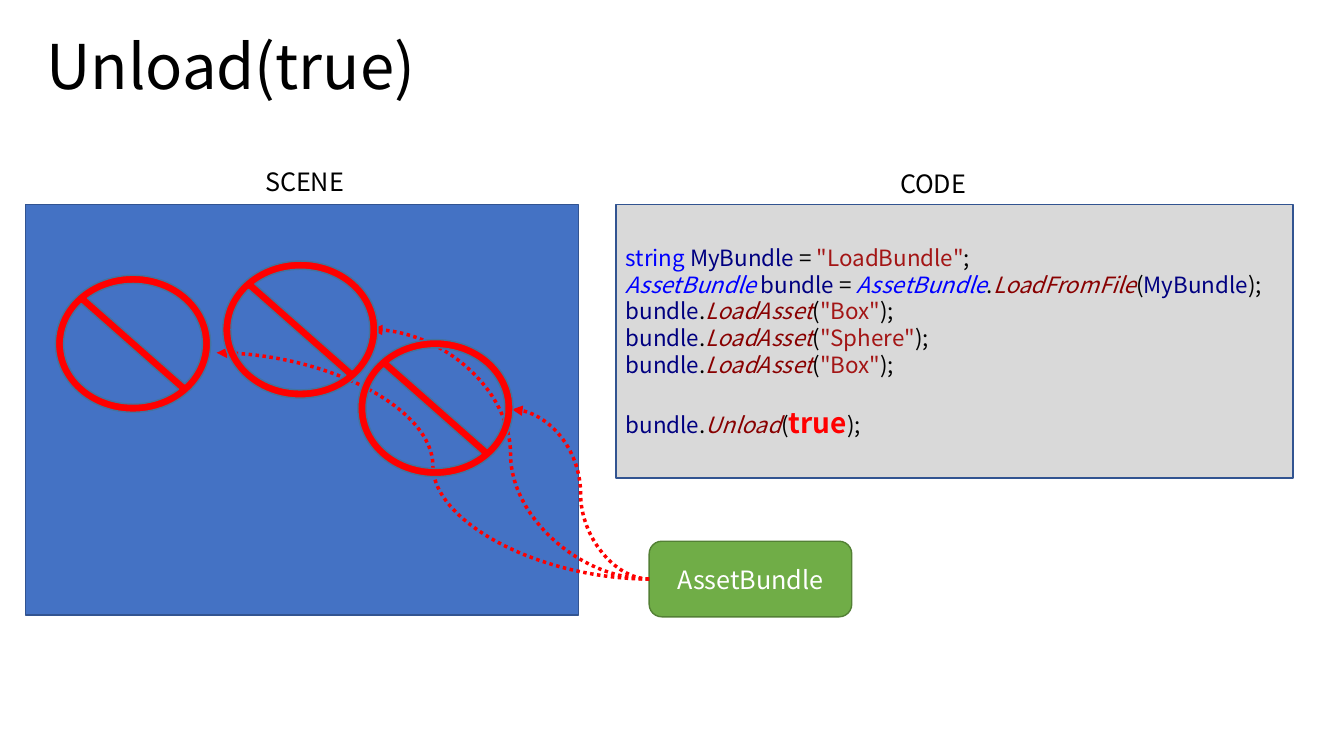
"""Build the Unload(true) slide: scene, code and asset bundle."""
from lxml import etree
from pptx import Presentation
from pptx.dml.color import RGBColor
from pptx.enum.dml import MSO_LINE
from pptx.enum.shapes import MSO_CONNECTOR, MSO_SHAPE
from pptx.enum.text import MSO_ANCHOR, PP_ALIGN
from pptx.oxml.ns import qn
from pptx.util import Pt

BOX = MSO_SHAPE.FLOWCHART_PROCESS
ROUND = MSO_SHAPE.FLOWCHART_ALTERNATE_PROCESS
BAN = MSO_SHAPE.NO_SYMBOL
CURVE = MSO_CONNECTOR.CURVE
DOT = MSO_LINE.ROUND_DOT
TOP, MIDDLE = MSO_ANCHOR.TOP, MSO_ANCHOR.MIDDLE
LEFT, CENTER = PP_ALIGN.LEFT, PP_ALIGN.CENTER

FONT = "Noto Sans CJK KR"
BLACK, WHITE, RED, EDGE = "000000", "FFFFFF", "FF0000", "325491"

LABELS = [
    ("Unload(true)", (25.9, 15.1, 907.9, 68.4), 44, MIDDLE),
    ("SCENE", (182.2, 115.2, 115.9, 28.8), 18, TOP),
    ("CODE", (635.8, 116.6, 115.9, 28.8), 18, TOP),
]
SCENE = (18, 146.2, 395.3, 293)
PANEL = (439.9, 146.2, 483.8, 195.1)
BUNDLE = (463.7, 386.6, 144.7, 54)
TIPS = [(365.8, 292.5), (265.7, 235.4), (154.8, 252)]
BANS = [(39.6, 196.6), (159.1, 186.5), (255.6, 242.6)]
BAN_SIZE = (110.9, 97.9)

STYLES = {
    "key": ("0000FF", False),
    "type": ("0000FF", True),
    "name": ("000080", False),
    "call": ("880000", True),
    "text": ("A31515", False),
    "mark": (BLACK, False),
    "flag": (RED, False),
}


def method(call, kind, value):
    return [("bundle", "name"), (".", "mark"), (call, "call"),
            ("(", "mark"), (value, kind), (");", "mark")]


CODE = [
    [("string ", "key"), ("MyBundle", "name"), (" = ", "mark"),
     ('"LoadBundle"', "text"), (";", "mark")],
    [("AssetBundle ", "type"), ("bundle", "name"), (" = ", "mark"),
     ("AssetBundle", "type"), (".", "mark"), ("LoadFromFile", "call"),
     ("(", "mark"), ("MyBundle", "name"), (");", "mark")],
    *[method("LoadAsset", "text", f'"{item}"')
      for item in ("Box", "Sphere", "Box")],
    method("Unload", "flag", "true"),
]
CODE_GAP = 19.3


def color(value):
    return RGBColor.from_string(value)


def add_box(kind, area, fill, edge):
    box = slide.shapes.add_shape(kind, *map(Pt, area))
    box.shadow.inherit = False
    box.fill.solid()
    box.fill.fore_color.rgb = color(fill)
    box.line.color.rgb = color(edge)
    box.line.width = Pt(1)
    return box


def set_font(para, size, tint, align):
    para.alignment = align
    para.font.name = FONT
    para.font.size = Pt(size)
    para.font.color.rgb = color(tint)


def add_label(text, area, size, anchor):
    frame = slide.shapes.add_textbox(*map(Pt, area)).text_frame
    frame.word_wrap = True
    frame.vertical_anchor = anchor
    frame.text = text
    set_font(frame.paragraphs[0], size, BLACK, LEFT)
    return frame.paragraphs[0]


def add_code(frame):
    frame.vertical_anchor = MIDDLE
    for i, line in enumerate(CODE):
        para = frame.add_paragraph() if i else frame.paragraphs[0]
        set_font(para, 16, BLACK, LEFT)
        for text, kind in line:
            run = para.add_run()
            run.text = text
            tint, slant = STYLES[kind]
            run.font.name = FONT
            run.font.color.rgb = color(tint)
            run.font.italic = slant
            if kind == "flag":
                run.font.size = Pt(20)
                run.font.bold = True
    para.space_before = Pt(CODE_GAP)


def add_arrow(start, tip):
    link = slide.shapes.add_connector(CURVE, *map(Pt, start + tip))
    link.line.color.rgb = color(RED)
    link.line.width = Pt(2.5)
    link.line.dash_style = DOT
    props = link.element.spPr
    etree.SubElement(props.find(qn("a:ln")), qn("a:tailEnd"), type="triangle")
    etree.SubElement(props, qn("a:effectLst"))


deck = Presentation()
deck.slide_width, deck.slide_height = Pt(960), Pt(540)
slide = deck.slides.add_slide(deck.slide_layouts[6])

add_box(BOX, SCENE, "4472C4", EDGE)
title, *_ = [add_label(*label) for label in LABELS]
title.line_spacing = 0.9
add_code(add_box(BOX, PANEL, "D9D9D9", EDGE).text_frame)

bundle = add_box(ROUND, BUNDLE, "70AD47", "538035").text_frame
bundle.text = "AssetBundle"
bundle.vertical_anchor = MIDDLE
set_font(bundle.paragraphs[0], 18, WHITE, CENTER)

left, top, _, height = BUNDLE
for tip in TIPS:
    add_arrow((left, top + height / 2), tip)
for spot in BANS:
    add_box(BAN, spot + BAN_SIZE, RED, "43739E").adjustments[0] = 0.06

deck.save("out.pptx")
